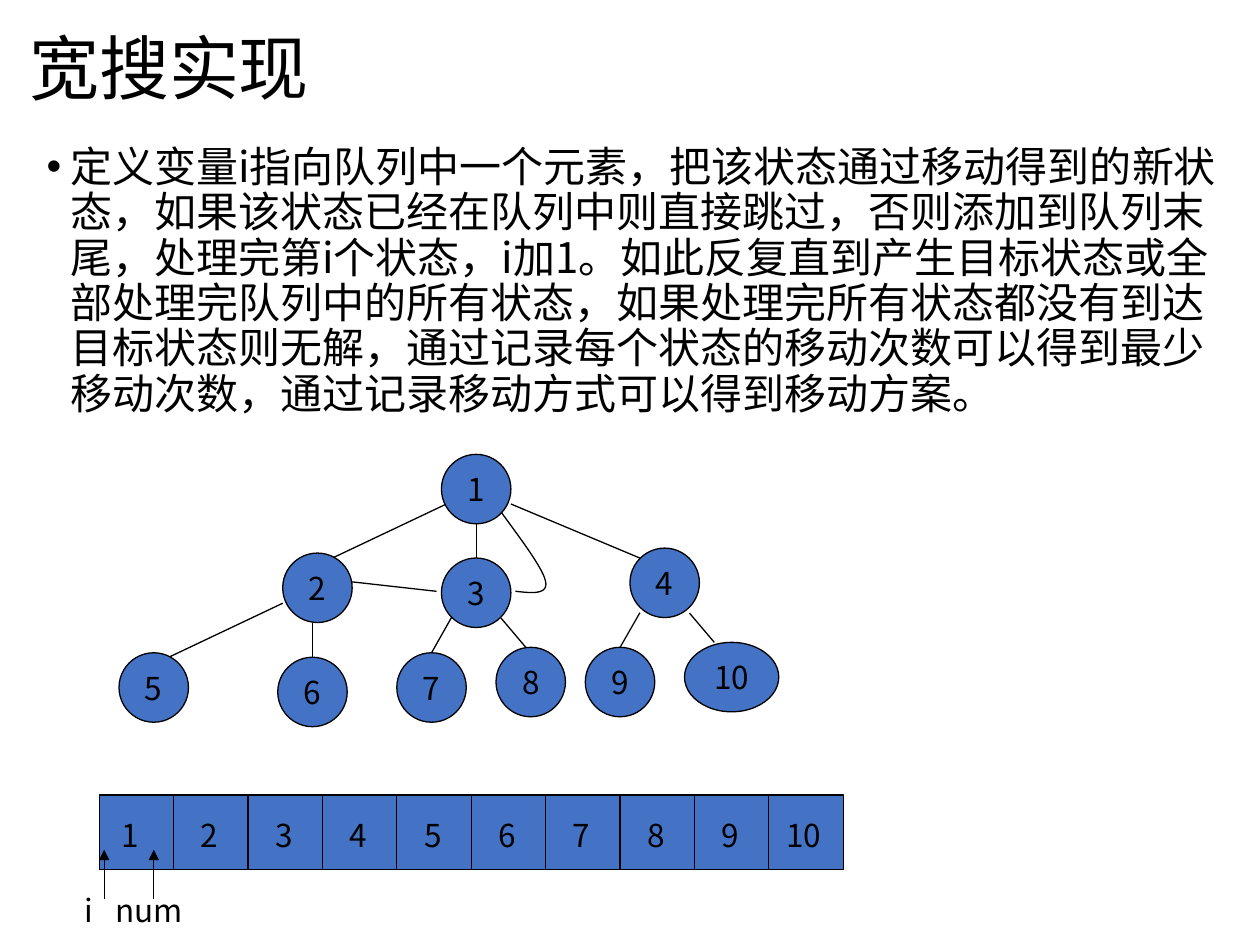
from dataclasses import dataclass

import pptx
import pptx.dml.color
import pptx.enum.shapes
import pptx.enum.text
import pptx.oxml
import pptx.oxml.ns
import pptx.util
from pptx.util import Cm

BLACK = pptx.dml.color.RGBColor(0x00, 0x00, 0x00)
BLUE = pptx.dml.color.RGBColor(0x44, 0x72, 0xC4)
FONT = "Noto Sans CJK SC"
LINE_WIDTH = pptx.util.Pt(0.75)
LINE_SPACING = 0.9
LEFT = pptx.enum.text.PP_ALIGN.LEFT
CENTER = pptx.enum.text.PP_ALIGN.CENTER
MIDDLE = pptx.enum.text.MSO_ANCHOR.MIDDLE
SHAPE = pptx.enum.shapes.MSO_SHAPE

TITLE = "宽搜实现"
BODY = (
    "定义变量i指向队列中一个元素，把该状态通过移动得到的新状态，"
    "如果该状态已经在队列中则直接跳过，否则添加到队列末尾，"
    "处理完第i个状态，i加1。如此反复直到产生目标状态或全部处理完队列中的所有状态，"
    "如果处理完所有状态都没有到达目标状态则无解，"
    "通过记录每个状态的移动次数可以得到最少移动次数，通过记录移动方式可以得到移动方案。"
)

# All lengths below are centimetres.
NODE_SIZE = 1.4
CELL_SIZE = 1.5
QUEUE_LEFT, QUEUE_TOP = 2.0, 16.03
QUEUE_LENGTH = 10
LABEL_HEIGHT = 1.02


@dataclass(frozen=True)
class Node:
    label: str
    left: float
    top: float
    width: float = NODE_SIZE


@dataclass(frozen=True)
class Edge:
    x1: float
    y1: float
    x2: float
    y2: float


@dataclass(frozen=True)
class Pointer:
    label: str
    arrow_x: float
    left: float
    width: float


NODES = [
    Node("1", 8.9, 9.16),
    Node("2", 5.7, 11.15),
    Node("3", 8.9, 11.25),
    Node("4", 12.7, 11.05),
    Node("5", 2.4, 13.16),
    Node("6", 5.6, 13.25),
    Node("7", 8.0, 13.16),
    Node("8", 10.0, 13.05),
    Node("9", 11.8, 13.05),
    Node("10", 13.8, 12.95, 1.9),
]
EDGES = [
    Edge(9.0, 10.16, 6.7, 11.25),
    Edge(9.6, 10.56, 9.6, 11.25),
    Edge(10.3, 10.16, 12.9, 11.25),
    Edge(5.7, 12.16, 3.4, 13.25),
    Edge(6.3, 12.55, 6.3, 13.25),
    Edge(9.1, 12.45, 8.7, 13.16),
    Edge(10.1, 12.46, 10.6, 13.05),
    Edge(12.9, 12.35, 12.5, 13.05),
    Edge(13.9, 12.36, 14.4, 12.95),
    Edge(7.1, 11.73, 8.8, 11.92),
]
# Bézier control points of the loop from node 3 back to node 1.
LOOP = [
    [(10.39, 11.92), (10.72, 11.96), (11.05, 11.99), (11.0, 11.73)],
    [(11.0, 11.73), (10.95, 11.46), (10.52, 10.9), (10.1, 10.32)],
]
POINTERS = [Pointer("i", 2.1, 1.2, 1.2), Pointer("num", 3.1, 2.0, 2.0)]


def append_xml(parent, tag: str, **attributes: str) -> None:
    element = pptx.oxml.parse_xml(f"<a:{tag} {pptx.oxml.ns.nsdecls('a')}/>")
    for name, value in attributes.items():
        element.set(name, value)
    parent.append(element)


def style_paragraph(para, size: float, align=LEFT) -> None:
    para.alignment = align
    para.font.size = pptx.util.Pt(size)
    para.font.color.rgb = BLACK
    para.font.name = FONT
    properties = para._p.get_or_add_pPr().find(pptx.oxml.ns.qn("a:defRPr"))
    append_xml(properties, "ea", typeface=FONT)


def add_text(page, text: str, left: float, top: float, width: float, height: float):
    box = page.shapes.add_textbox(Cm(left), Cm(top), Cm(width), Cm(height))
    box.text_frame.word_wrap = True
    box.text_frame.text = text
    return box.text_frame


def add_label(page, text: str, left: float, top: float, width: float, align=LEFT) -> None:
    frame = add_text(page, text, left, top, width, LABEL_HEIGHT)
    style_paragraph(frame.paragraphs[0], 18, align)


def add_block(page, kind, left: float, top: float, width: float, height: float):
    """Draw a blue preset shape with a thin black outline."""
    block = page.shapes.add_shape(kind, Cm(left), Cm(top), Cm(width), Cm(height))
    block.shadow.inherit = False
    block.fill.solid()
    block.fill.fore_color.rgb = BLUE
    block.line.color.rgb = BLACK
    block.line.width = LINE_WIDTH
    return block


def add_node(page, node: Node) -> None:
    circle = add_block(page, SHAPE.OVAL, node.left, node.top, node.width, NODE_SIZE)
    frame = circle.text_frame
    frame.text = node.label
    frame.vertical_anchor = MIDDLE
    style_paragraph(frame.paragraphs[0], 18, CENTER)


def add_edge(page, edge: Edge):
    line = page.shapes.add_connector(
        pptx.enum.shapes.MSO_CONNECTOR.STRAIGHT,
        Cm(edge.x1), Cm(edge.y1), Cm(edge.x2), Cm(edge.y2),
    )
    line.line.color.rgb = BLACK
    line.line.width = LINE_WIDTH
    append_xml(line._element.spPr, "effectLst")
    return line


def bezier_point(controls: list[tuple[float, float]], t: float) -> tuple[int, int]:
    weights = ((1 - t) ** 3, 3 * t * (1 - t) ** 2, 3 * t**2 * (1 - t), t**3)
    x, y = (sum(w * p[axis] for w, p in zip(weights, controls)) for axis in (0, 1))
    return Cm(x), Cm(y)


def add_loop(page, steps: int = 16) -> None:
    points = [bezier_point(part, n / steps) for part in LOOP for n in range(steps + 1)]
    builder = page.shapes.build_freeform(*points[0])
    builder.add_line_segments(points[1:], close=False)
    curve = builder.convert_to_shape()
    curve.shadow.inherit = False
    curve.fill.background()
    curve.line.color.rgb = BLACK
    curve.line.width = LINE_WIDTH


def add_queue(page) -> None:
    lefts = [QUEUE_LEFT + n * CELL_SIZE for n in range(QUEUE_LENGTH)]
    for left in lefts:
        add_block(page, SHAPE.RECTANGLE, left, QUEUE_TOP, CELL_SIZE, CELL_SIZE)
    insets = [0.2] + [0.3] * (QUEUE_LENGTH - 2) + [0.1]
    for number, (left, inset) in enumerate(zip(lefts, insets), start=1):
        width = 1.2 if number < 10 else 1.6
        add_label(page, str(number), left + inset, QUEUE_TOP + 0.3, width)


def add_pointer(page, pointer: Pointer) -> None:
    arrow = add_edge(page, Edge(pointer.arrow_x, 18.13, pointer.arrow_x, 17.13))
    append_xml(arrow.line._get_or_add_ln(), "tailEnd", type="triangle")
    add_label(page, pointer.label, pointer.left, 17.83, pointer.width, CENTER)


def main() -> None:
    deck = pptx.Presentation()
    deck.slide_width, deck.slide_height = Cm(25.4), Cm(19.05)
    page = deck.slides.add_slide(deck.slide_layouts[6])

    title = add_text(page, TITLE, 0.34, 0.34, 22.86, 2.2)
    title.vertical_anchor = MIDDLE
    title.paragraphs[0].line_spacing = LINE_SPACING
    style_paragraph(title.paragraphs[0], 40)

    para = add_text(page, BODY, 0.69, 2.82, 24.2, 15.6).paragraphs[0]
    para.line_spacing = LINE_SPACING
    properties = para._p.get_or_add_pPr()
    properties.set("marL", str(Cm(0.48)))
    properties.set("indent", str(Cm(-0.48)))
    append_xml(properties, "buFont", typeface="Arial")
    append_xml(properties, "buChar", char="•")
    style_paragraph(para, 24)

    for edge in EDGES:
        add_edge(page, edge)
    for node in NODES:
        add_node(page, node)
    add_loop(page)
    add_queue(page)
    for pointer in POINTERS:
        add_pointer(page, pointer)
    deck.save("out.pptx")


if __name__ == "__main__":
    main()
